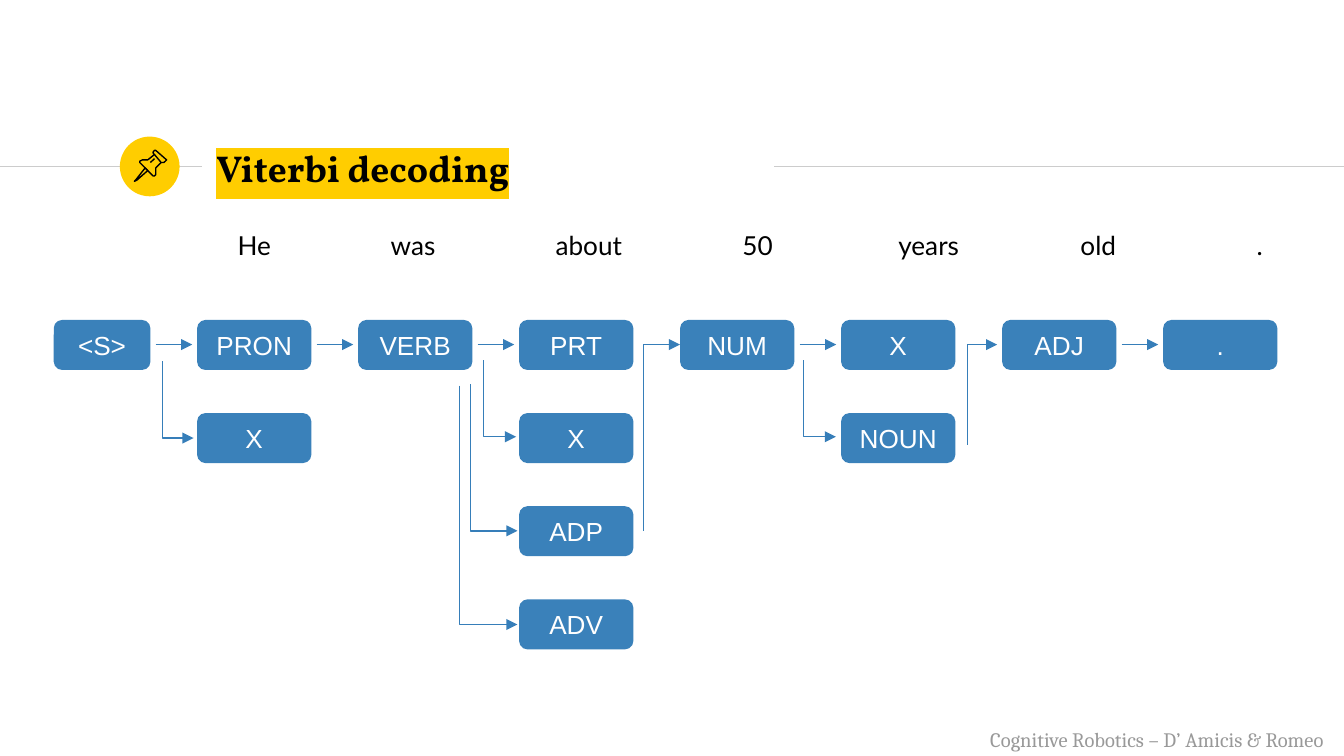
from dataclasses import dataclass
from typing import NamedTuple

from lxml.etree import SubElement
from pptx import Presentation
from pptx.dml.color import RGBColor
from pptx.enum.shapes import MSO_CONNECTOR, MSO_SHAPE
from pptx.enum.text import MSO_ANCHOR, MSO_AUTO_SIZE, PP_ALIGN
from pptx.oxml.ns import qn
from pptx.shapes.autoshape import Shape
from pptx.shapes.connector import Connector
from pptx.slide import Slide
from pptx.text.text import _Paragraph as Paragraph
from pptx.util import Pt


class TextStyle(NamedTuple):
    """Font, size and colour of a run."""
    font: str
    size: float
    color: RGBColor
    bold: bool = False


@dataclass(frozen=True)
class Theme:
    """Colours and type styles of the slide."""
    black: RGBColor = RGBColor(0, 0, 0)
    rule: RGBColor = RGBColor.from_string("CCCCCC")
    accent: RGBColor = RGBColor.from_string("FFCD00")
    node: RGBColor = RGBColor.from_string("3A81BA")
    arrow: RGBColor = RGBColor.from_string("367EB9")
    line_width: float = 0.75
    title: TextStyle = TextStyle("Vollkorn", 20, RGBColor(0, 0, 0), True)
    word: TextStyle = TextStyle("Lato", 14, RGBColor(0, 0, 0))
    tag: TextStyle = TextStyle("Arial", 14, RGBColor(255, 255, 255))
    footer: TextStyle = TextStyle("Cambria", 11, RGBColor.from_string("999999"))


class Area(NamedTuple):
    """Left, top, width and height in points."""
    left: float
    top: float
    width: float
    height: float


class Elbow(NamedTuple):
    """A vertical leg followed by a horizontal leg, in points."""
    x1: float
    y1: float
    x2: float
    y2: float


class Outline(NamedTuple):
    """One stroke of the pin icon, in points."""
    points: list[tuple[float, float]]
    closed: bool


THEME = Theme()
START = Area(28.8, 171.4, 51.8, 26.8)
FIRST_TAG = Area(105.6, 171.4, 61.2, 26.8)
COLUMN_PITCH, ROW_PITCH = 86.25, 49.9
ARROW_GAP, ARROW_LENGTH, ARROW_Y = 2.8, 19.6, 184.6
RULE_Y = 89.2

TAG_COLUMNS = [["PRON", "X"], ["VERB"], ["PRT", "X", "ADP", "ADV"], ["NUM"],
               ["X", "NOUN"], ["ADJ"], ["."]]
BENT_COLUMNS = {2, 4}
WORDS = ["He", "was", "about", "50", "years", "old", "."]
WORD_STOPS = [82, 170.4, 270.5, 354, 451.6, 546]
ELBOWS = [
    Elbow(344.9, 284.4, 364.3, ARROW_Y),
    Elbow(518.4, 238.3, 534.2, ARROW_Y),
    Elbow(87.1, 193.7, 103.7, 234.7),
    Elbow(259.2, 193, 276.5, 234),
    Elbow(430.6, 193, 447.8, 234),
    Elbow(252, 205.9, 277.2, 284.4),
    Elbow(246.2, 206.6, 277.2, 334.6),
]
PIN = [
    Outline([(77.8, 90), (72.7, 96.5), (72, 97.2), (73.4, 96.5), (79.2, 91.4)], True),
    Outline([(82.8, 82.8), (86.4, 87.1), (87.8, 87.1), (88.6, 86.4), (89.3, 85.7),
             (83.5, 80.6), (82.8, 80.6), (82.1, 81.4), (82.1, 82.1)], True),
    Outline([(82.8, 82.8), (79.2, 85.7), (77.8, 85.7), (76.3, 85.7), (74.9, 86.4),
             (74.9, 87.1), (82.1, 94.3), (82.8, 94.3), (83.5, 93.6), (83.5, 92.2),
             (83.5, 90), (86.4, 87.1)], False),
    Outline([(80.6, 87.1), (82.8, 85)], False),
]


def add_span(para: Paragraph, text: str, style: TextStyle):
    """Append a styled run to a paragraph."""
    span = para.add_run()
    span.text = text
    span.font.size = Pt(style.size)
    span.font.bold = style.bold
    span.font.color.rgb = style.color
    span.font.name = style.font
    return span


def add_box(page: Slide, area: Area, wrap: bool) -> Shape:
    """Add an empty text box."""
    box = page.shapes.add_textbox(*map(Pt, area))
    box.text_frame.word_wrap = wrap
    return box


def add_filled(page: Slide, kind: MSO_SHAPE, area: Area, color: RGBColor) -> Shape:
    """Add a flat filled shape without an outline."""
    shape = page.shapes.add_shape(kind, *map(Pt, area))
    shape.shadow.inherit = False
    shape.fill.solid()
    shape.fill.fore_color.rgb = color
    shape.line.fill.background()
    return shape


def add_tag(page: Slide, text: str, area: Area) -> None:
    """Add a rounded node holding a part-of-speech tag."""
    box = add_filled(page, MSO_SHAPE.ROUNDED_RECTANGLE, area, THEME.node)
    box.text_frame.vertical_anchor = MSO_ANCHOR.MIDDLE
    para = box.text_frame.paragraphs[0]
    para.alignment = PP_ALIGN.CENTER
    add_span(para, text, THEME.tag)


def add_line(page: Slide, kind: MSO_CONNECTOR, ends: tuple[float, ...],
             color: RGBColor, arrow: bool) -> Connector:
    """Add a connector with an optional arrowhead at its end."""
    line = page.shapes.add_connector(kind, *map(Pt, ends))
    line.line.color.rgb = color
    line.line.width = Pt(THEME.line_width)
    properties = line.element.spPr
    if arrow:
        SubElement(properties.find(qn("a:ln")), qn("a:tailEnd"), type="triangle")
    SubElement(properties, qn("a:effectLst"))
    return line


def add_elbow(page: Slide, elbow: Elbow) -> None:
    """Add a one-bend arrow by turning a connector a quarter to the left."""
    across, along = elbow.x2 - elbow.x1, abs(elbow.y2 - elbow.y1)
    left = (elbow.x1 + elbow.x2 - along) / 2
    top = (elbow.y1 + elbow.y2 - across) / 2
    line = add_line(page, MSO_CONNECTOR.ELBOW,
                    (left, top, left + along, top + across), THEME.arrow, True)
    properties = line.element.spPr
    properties.find(qn("a:prstGeom")).set("prst", "bentConnector2")
    frame = properties.find(qn("a:xfrm"))
    frame.set("rot", "16200000")
    if elbow.y2 > elbow.y1:
        frame.set("flipH", "1")


def add_outline(page: Slide, outline: Outline) -> None:
    """Draw one unfilled stroke of the pin icon."""
    first, *rest = [(Pt(x), Pt(y)) for x, y in outline.points]
    builder = page.shapes.build_freeform(*first)
    builder.add_line_segments(rest, close=outline.closed)
    stroke = builder.convert_to_shape()
    stroke.shadow.inherit = False
    stroke.fill.background()
    stroke.line.color.rgb = THEME.black
    stroke.line.width = Pt(THEME.line_width)


def add_heading(page: Slide) -> None:
    """Draw the rules, the pin badge and the highlighted title."""
    for start, end in [(0, 108.3), (414.7, 720)]:
        add_line(page, MSO_CONNECTOR.STRAIGHT, (start, RULE_Y, end, RULE_Y),
                 THEME.rule, False)
    add_filled(page, MSO_SHAPE.OVAL, Area(64.2, 73.2, 32, 32), THEME.accent)
    for outline in PIN:
        add_outline(page, outline)
    title = page.shapes.title
    title.left, title.top, title.width, title.height = map(Pt, (108.7, 72.7, 305.3, 34.6))
    frame = title.text_frame
    frame.auto_size = MSO_AUTO_SIZE.NONE
    frame.vertical_anchor = MSO_ANCHOR.MIDDLE
    frame.margin_left = frame.margin_right = Pt(7.2)
    frame.margin_top = frame.margin_bottom = Pt(7.2)
    para = frame.paragraphs[0]
    para.alignment = PP_ALIGN.LEFT
    span = add_span(para, "Viterbi decoding", THEME.title)
    properties = span.font.fill._xPr
    highlight = SubElement(properties, qn("a:highlight"))
    SubElement(highlight, qn("a:srgbClr"), val=str(THEME.accent))
    properties.find(qn("a:solidFill")).addnext(highlight)


def add_words(page: Slide) -> None:
    """Write the sentence with one tab stop per word."""
    box = add_box(page, Area(120.2, 115.9, 573.8, 27.4), True)
    box.text_frame.margin_top = box.text_frame.margin_bottom = Pt(7.2)
    para = box.text_frame.paragraphs[0]
    stops = SubElement(para._p.get_or_add_pPr(), qn("a:tabLst"))
    for stop in WORD_STOPS:
        SubElement(stops, qn("a:tab"), pos=str(Pt(stop)), algn="l")
    add_span(para, "\t".join(WORDS), THEME.word)


def add_lattice(page: Slide) -> None:
    """Draw the tag nodes and the arrows between them."""
    add_tag(page, "<S>", START)
    right_edges = [START.left + START.width]
    for column, tags in enumerate(TAG_COLUMNS):
        left = FIRST_TAG.left + column * COLUMN_PITCH
        for row, tag in enumerate(tags):
            add_tag(page, tag, FIRST_TAG._replace(left=left, top=FIRST_TAG.top + row * ROW_PITCH))
        if column not in BENT_COLUMNS:
            right_edges.append(left + FIRST_TAG.width)
    for edge in right_edges[:-1]:
        start = edge + ARROW_GAP
        add_line(page, MSO_CONNECTOR.STRAIGHT,
                 (start, ARROW_Y, start + ARROW_LENGTH, ARROW_Y), THEME.arrow, True)
    for elbow in ELBOWS:
        add_elbow(page, elbow)


def main() -> None:
    """Build and save the deck."""
    deck = Presentation()
    deck.slide_width, deck.slide_height = Pt(720), Pt(405)
    page = deck.slides.add_slide(deck.slide_layouts[5])
    add_heading(page)
    add_words(page)
    add_lattice(page)
    footer = add_box(page, Area(523.4, 385.9, 203, 20.9), False)
    add_span(footer.text_frame.paragraphs[0], "Cognitive Robotics – D’ Amicis & Romeo", THEME.footer)
    deck.save("out.pptx")


if __name__ == "__main__":
    main()
